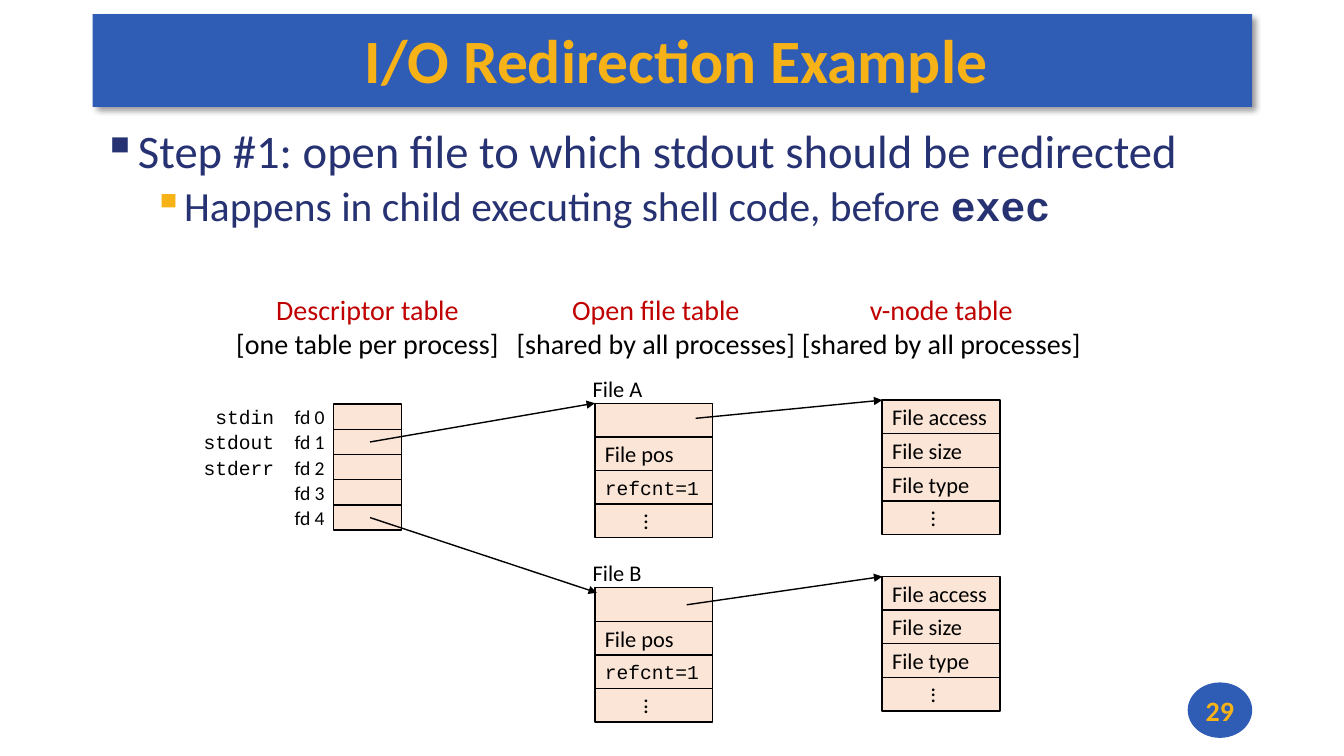
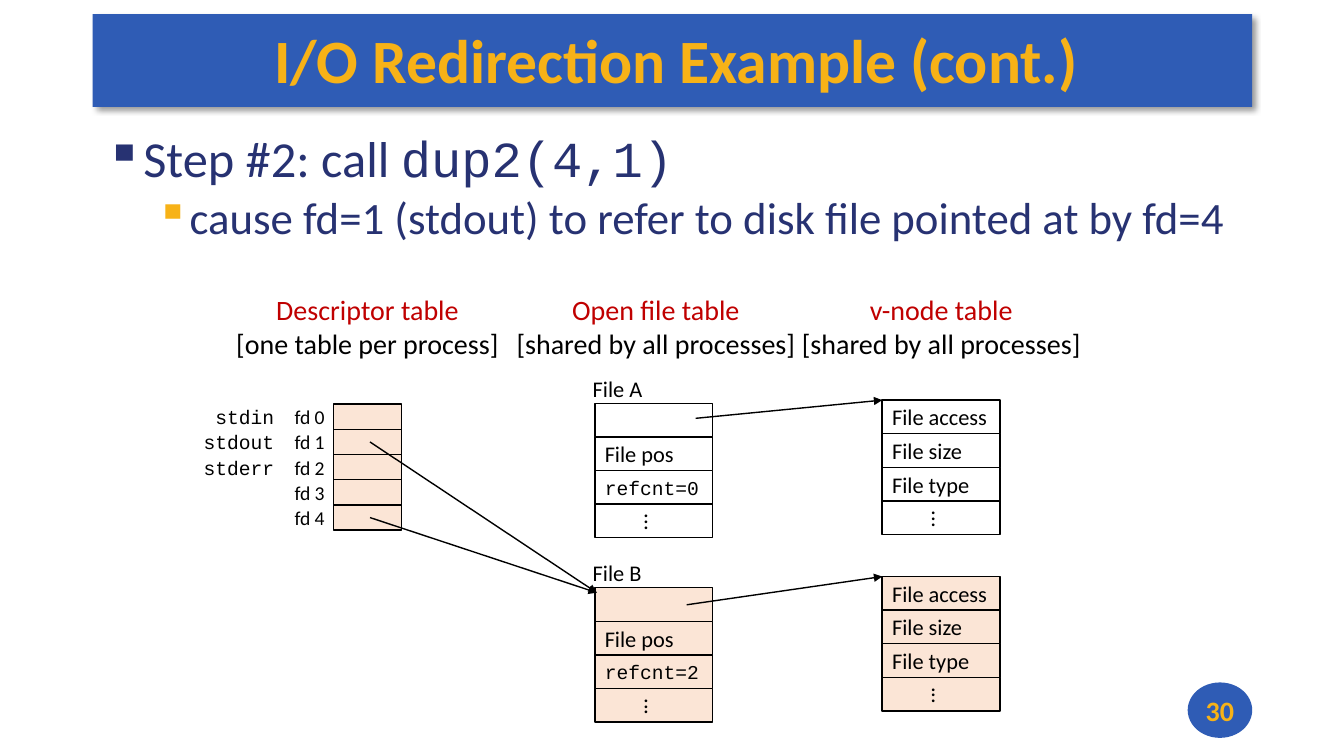
"""Build two slides on how a shell redirects standard output to a file."""
import dataclasses

import lxml.etree
import pptx
import pptx.dml.color
import pptx.enum.shapes
import pptx.enum.text
import pptx.oxml.ns
import pptx.util

ALIGN = pptx.enum.text.PP_ALIGN
SHAPE = pptx.enum.shapes.MSO_SHAPE
qn = pptx.oxml.ns.qn


@dataclasses.dataclass(frozen=True)
class Theme:
    sans: str = "Calibri"
    mono: str = "Courier New"
    blue: str = "2F5CB5"
    gold: str = "F7B217"
    navy: str = "273272"
    red: str = "C00000"
    black: str = "000000"
    active: str = "FBE5D6"
    idle: str = "FFFFFF"
    title_size: int = 44
    heading_size: int = 20
    cell_size: int = 16
    code_size: int = 14


THEME = Theme()
EMU_PER_PX = 9144

SLIDES = [
    {
        "title": "I/O Redirection Example",
        "number": 29,
        "body_box": (92, 122, 1142, 141),
        "body": [
            {"size": 33.3, "indent": (35, -35), "bullet": THEME.navy,
             "runs": [("Step #1: open file to which stdout should be redirected", False, False)]},
            {"size": 29.6, "indent": (75, -25), "bullet": THEME.gold,
             "runs": [("Happens in child executing shell code, before ", False, False),
                      ("exec", True, True)]},
        ],
        "descriptors": {1: "File A", 4: "File B"},
        "reference_counts": {"File A": 1, "File B": 1},
    },
    {
        "title": "I/O Redirection Example (cont.)",
        "number": 30,
        "body_box": (95, 128, 1148, 122),
        "body": [
            {"size": 36, "indent": (25, -25), "bullet": THEME.navy,
             "runs": [("Step #2: call ", False, False), ("dup2(4,1)", True, False)]},
            {"size": 32, "indent": (75, -25), "bullet": THEME.gold,
             "runs": [("cause fd=1 (stdout) to refer to disk file pointed at by fd=4",
                       False, False)]},
        ],
        "descriptors": {1: "File B", 4: "File B"},
        "reference_counts": {"File A": 0, "File B": 2},
    },
]

HEADINGS = [
    ((223, 285, 283, 77), "Descriptor table", "[one table per process]"),
    ((501, 285, 299, 77), "Open file table", "[shared by all processes]"),
    ((784, 285, 299, 77), "v-node table", "[shared by all processes]"),
]
STREAMS = ["stdin", "stdout", "stderr"]
DESCRIPTOR_COUNT = 5
DESCRIPTOR_LEFT, DESCRIPTOR_TOP = 331, 401
DESCRIPTOR_WIDTH, DESCRIPTOR_HEIGHT = 67, 25
FILES = {
    "File A": {"top": 400, "node_top": 397, "entry": (590, 400), "pointer": (690, 415)},
    "File B": {"top": 583, "node_top": 572, "entry": (592, 588), "pointer": (681, 600)},
}
FILE_LEFT, NODE_LEFT = 590, 875
RECORD_WIDTH, RECORD_HEIGHT = 117, 100 / 3
ELLIPSIS = "..."
NODE_FIELDS = ["File access", "File size", "File type", ELLIPSIS]


def px(length):
    return pptx.util.Emu(round(length * EMU_PER_PX))


def rgb(color):
    return pptx.dml.color.RGBColor.from_string(color)


def style(font, size, color, name=THEME.sans, bold=False):
    font.size = pptx.util.Pt(size)
    font.color.rgb = rgb(color)
    font.name = name
    font.bold = bold


def write(shape, lines, size, align=ALIGN.LEFT, name=THEME.sans, bold=False):
    """Put (text, colour) lines in a shape, centred vertically and not wrapped."""
    frame = shape.text_frame
    frame.word_wrap = False
    frame.vertical_anchor = pptx.enum.text.MSO_ANCHOR.MIDDLE
    for index, (text, color) in enumerate(lines):
        paragraph = frame.add_paragraph() if index else frame.paragraphs[0]
        paragraph.text = text
        paragraph.alignment = align
        style(paragraph.font, size, color, name, bold)


def add_label(slide, box, lines, size, **options):
    label = slide.shapes.add_textbox(*map(px, box))
    write(label, lines, size, **options)
    return label


def add_box(slide, kind, box, fill, outlined=False):
    shape = slide.shapes.add_shape(kind, *map(px, box))
    shape.shadow.inherit = False
    shape.fill.solid()
    shape.fill.fore_color.rgb = rgb(fill)
    if outlined:
        shape.line.color.rgb = rgb(THEME.black)
        shape.line.width = pptx.util.Pt(1)
    else:
        shape.line.fill.background()
    return shape


def add_arrow(slide, start, end):
    straight = pptx.enum.shapes.MSO_CONNECTOR.STRAIGHT
    arrow = slide.shapes.add_connector(straight, *map(px, (*start, *end)))
    arrow.line.color.rgb = rgb(THEME.black)
    arrow.line.width = pptx.util.Pt(1)
    properties = arrow._element.spPr
    lxml.etree.SubElement(properties.find(qn("a:ln")), qn("a:tailEnd"), type="triangle")
    lxml.etree.SubElement(properties, qn("a:effectLst"))


def add_band_shadow(band):
    effects = band._element.spPr.find(qn("a:effectLst"))
    shadow = lxml.etree.SubElement(effects, qn("a:outerShdw"), blurRad="50800",
                                   dist="38100", dir="2700000", algn="tl", rotWithShape="0")
    color = lxml.etree.SubElement(shadow, qn("a:srgbClr"), val=THEME.black)
    lxml.etree.SubElement(color, qn("a:alpha"), val="40000")


def add_frame(slide, title, number):
    """Draw the title band and the page number."""
    add_band_shadow(add_box(slide, SHAPE.RECTANGLE, (92, 14, 1150, 92), THEME.blue))
    label = add_label(slide, (92, 12, 1150, 92), [(title, THEME.gold)], THEME.title_size,
                      align=ALIGN.CENTER, bold=True)
    frame = label.text_frame
    frame.word_wrap = True
    frame.margin_left, frame.margin_right = px(8), 0
    frame.margin_top = frame.margin_bottom = px(3)
    badge = add_box(slide, SHAPE.OVAL, (1178, 677, 64, 55), THEME.blue)
    write(badge, [(str(number), THEME.gold)], THEME.heading_size, ALIGN.CENTER, bold=True)


def add_body(slide, box, items):
    frame = slide.shapes.add_textbox(*map(px, box)).text_frame
    frame.word_wrap = True
    for index, item in enumerate(items):
        paragraph = frame.add_paragraph() if index else frame.paragraphs[0]
        paragraph.level = index
        paragraph.line_spacing = 0.9
        if index:
            paragraph.space_before = pptx.util.Pt(5)
        properties = paragraph._p.get_or_add_pPr()
        margin, hanging = item["indent"]
        properties.set("marL", str(px(margin)))
        properties.set("indent", str(px(hanging)))
        bullet_color = lxml.etree.SubElement(properties, qn("a:buClr"))
        lxml.etree.SubElement(bullet_color, qn("a:srgbClr"), val=item["bullet"])
        lxml.etree.SubElement(properties, qn("a:buChar"), char="▪")
        style(paragraph.font, item["size"], THEME.navy)
        for text, is_code, is_bold in item["runs"]:
            run = paragraph.add_run()
            run.text = text
            if is_code:
                run.font.name = THEME.mono
            if is_bold:
                run.font.bold = True


def add_descriptors(slide):
    for index in range(DESCRIPTOR_COUNT):
        top = DESCRIPTOR_TOP + index * DESCRIPTOR_HEIGHT
        add_box(slide, SHAPE.RECTANGLE,
                (DESCRIPTOR_LEFT, top, DESCRIPTOR_WIDTH, DESCRIPTOR_HEIGHT),
                THEME.active, outlined=True)
        add_label(slide, (265, top, 67, DESCRIPTOR_HEIGHT), [(f"fd {index}", THEME.black)],
                  THEME.code_size, align=ALIGN.RIGHT)
        if index < len(STREAMS):
            add_label(slide, (192, top, 90, DESCRIPTOR_HEIGHT),
                      [(STREAMS[index], THEME.black)], THEME.code_size,
                      align=ALIGN.RIGHT, name=THEME.mono)


def add_record(slide, left, top, fields, fill):
    """Stack one outlined cell per field."""
    for index, field in enumerate(fields):
        cell = add_box(slide, SHAPE.RECTANGLE,
                       (left, top + index * RECORD_HEIGHT, RECORD_WIDTH, RECORD_HEIGHT),
                       fill, outlined=True)
        if not field:
            continue
        is_code = field.startswith("refcnt")
        write(cell, [(field, THEME.black)],
              THEME.code_size if is_code else THEME.cell_size,
              name=THEME.mono if is_code else THEME.sans)
        if field == ELLIPSIS:
            cell.text_frame._txBody.bodyPr.set("vert", "eaVert")


def add_files(slide, reference_counts):
    for name, file in FILES.items():
        count = reference_counts[name]
        fill = THEME.active if count else THEME.idle
        add_label(slide, (578, file["top"] - 33, 71, 37), [(name, THEME.black)],
                  THEME.cell_size)
        add_record(slide, FILE_LEFT, file["top"],
                   ["", "File pos", f"refcnt={count}", ELLIPSIS], fill)
        add_record(slide, NODE_LEFT, file["node_top"], NODE_FIELDS, fill)
        add_arrow(slide, file["pointer"], (NODE_LEFT, file["node_top"]))


def add_descriptor_arrows(slide, descriptors):
    for index, name in descriptors.items():
        middle = DESCRIPTOR_TOP + (index + 0.5) * DESCRIPTOR_HEIGHT
        add_arrow(slide, (367, middle), FILES[name]["entry"])


def main():
    presentation = pptx.Presentation()
    presentation.slide_width, presentation.slide_height = px(1333), px(750)
    for content in SLIDES:
        slide = presentation.slides.add_slide(presentation.slide_layouts[6])
        add_frame(slide, content["title"], content["number"])
        add_body(slide, content["body_box"], content["body"])
        for box, heading, scope in HEADINGS:
            add_label(slide, box, [(heading, THEME.red), (scope, THEME.black)],
                      THEME.heading_size, align=ALIGN.CENTER)
        add_descriptors(slide)
        add_files(slide, content["reference_counts"])
        add_descriptor_arrows(slide, content["descriptors"])
    presentation.save("out.pptx")


if __name__ == "__main__":
    main()
